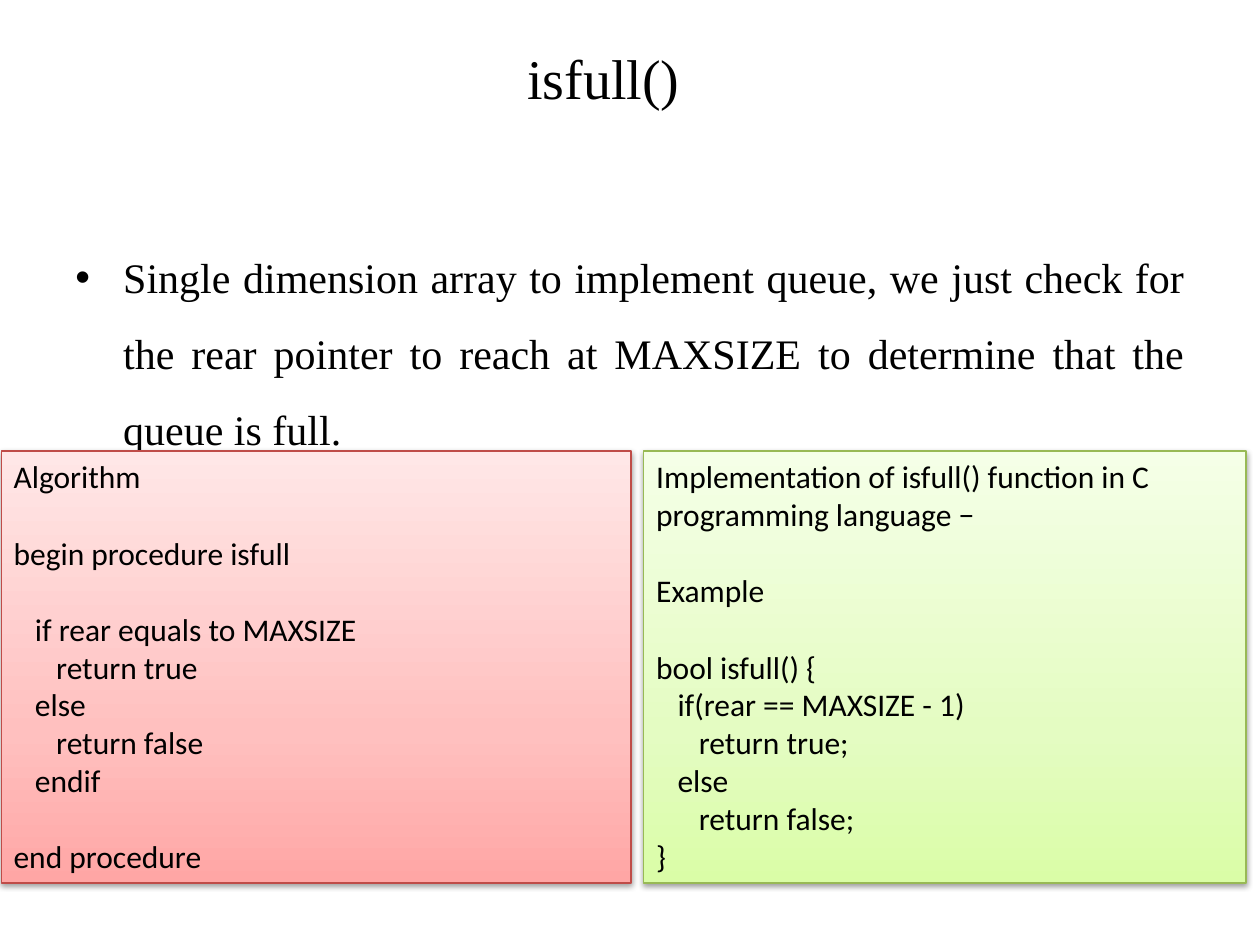
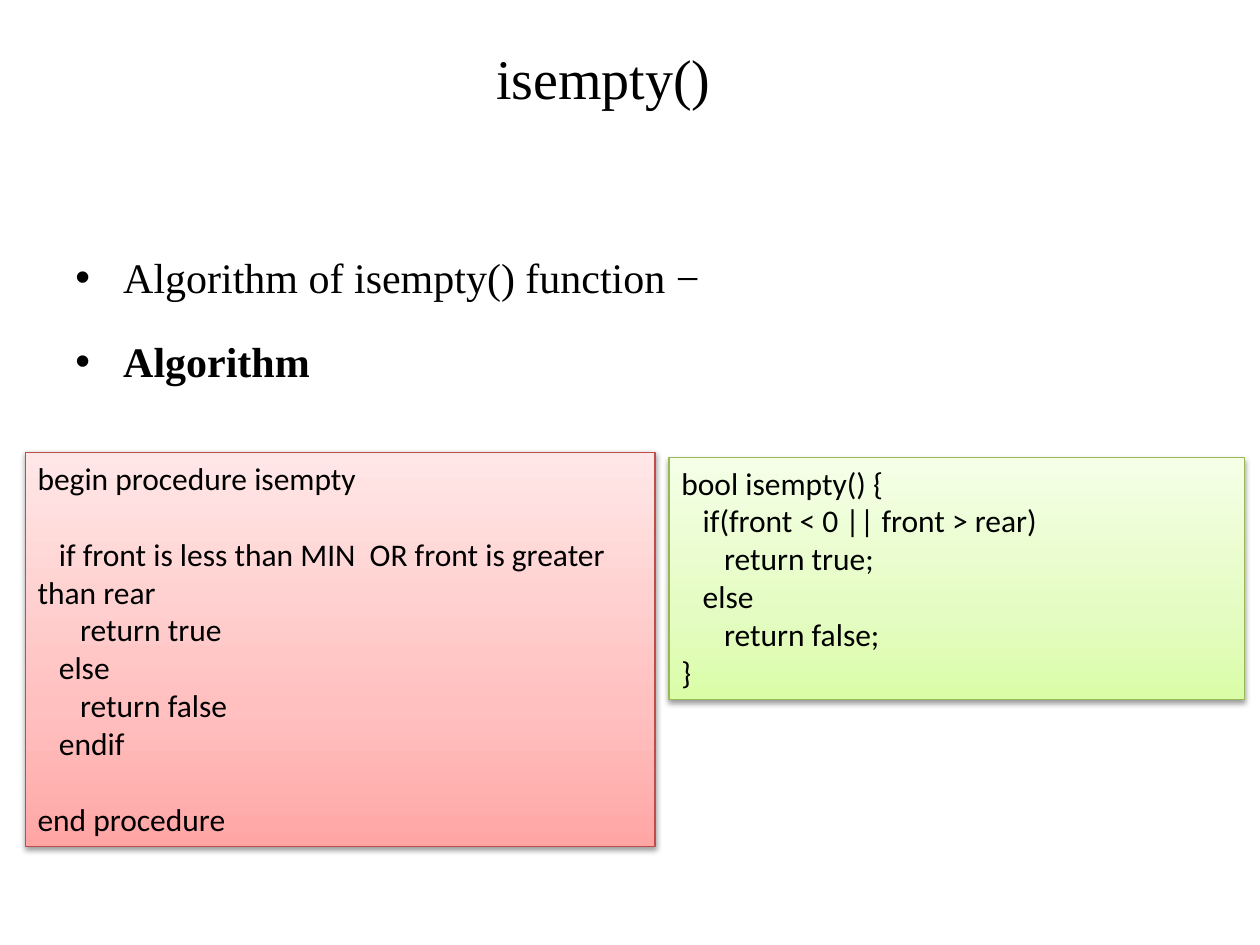
from copy import deepcopy
from dataclasses import dataclass

from lxml.etree import SubElement
from pptx import Presentation
from pptx.dml.color import RGBColor
from pptx.enum.shapes import MSO_SHAPE
from pptx.enum.text import MSO_ANCHOR, MSO_AUTO_SIZE, PP_ALIGN
from pptx.oxml.ns import qn
from pptx.util import Inches, Pt

# Shared style
COLORS = {
    "text": "000000", "shadow": "000000",
    "red_low": "FFA6A5", "red_mid": "FFC0BF", "red_high": "FFE7E7", "red_line": "BF4C48",
    "green_low": "DAFDA7", "green_mid": "E4FCC2", "green_high": "F5FFE7", "green_line": "98B955",
}
GRADIENT_STOPS = {"low": 0, "mid": 0.35, "high": 1}
SERIF, SANS = "Times New Roman", "Calibri"
CODE_LINE = Pt(22)
TITLE_ONLY = 5


@dataclass
class Bullet:
    text: str
    bold: bool = False


@dataclass
class CodePanel:
    left: float
    top: float
    width: float
    height: float
    tint: str
    code: str  # an empty line separates groups


@dataclass
class Page:
    title: str
    bullets: list[Bullet]
    panels: list[CodePanel]


# Content
PAGES = [
    Page(
        "isfull()",
        [Bullet("Single dimension array to implement queue, we just check for the rear "
                "pointer to reach at MAXSIZE to determine that the queue is full.")],
        [
            CodePanel(0.01, 3.58, 5, 3.43, "red", """Algorithm

begin procedure isfull

   if rear equals to MAXSIZE
      return true
   else
      return false
   endif

end procedure"""),
            CodePanel(5.11, 3.58, 4.78, 3.43, "green",
                      """Implementation of isfull() function in C programming language −

Example

bool isfull() {
   if(rear == MAXSIZE - 1)
      return true;
   else
      return false;
}"""),
        ],
    ),
    Page(
        "isempty()",
        [Bullet("Algorithm of isempty() function −"), Bullet("Algorithm", bold=True)],
        [
            CodePanel(0.2, 3.59, 5, 3.13, "red", """begin procedure isempty

   if front is less than MIN  OR front is greater than rear
      return true
   else
      return false
   endif

end procedure"""),
            CodePanel(5.31, 3.63, 4.57, 1.92, "green", """bool isempty() {
   if(front < 0 || front > rear)
      return true;
   else
      return false;
}"""),
        ],
    ),
]


def color(name: str) -> RGBColor:
    return RGBColor.from_string(COLORS[name])


def add_span(para, text: str, font: str, size: int, bold: bool = False) -> None:
    span = para.add_run()
    span.text = text
    span.font.name = font
    span.font.size = Pt(size)
    span.font.bold = bold
    span.font.color.rgb = color("text")


def next_para(frame, index: int):
    return frame.add_paragraph() if index else frame.paragraphs[0]


def place_title(slide, text: str) -> None:
    title = slide.shapes.title
    title.left, title.top = Inches(1.15), Inches(0.21)
    title.width, title.height = Inches(7.28), Inches(1.25)
    frame = title.text_frame
    frame.vertical_anchor = MSO_ANCHOR.MIDDLE
    frame.margin_bottom = Inches(0.5)  # lifts the title above the middle
    para = frame.paragraphs[0]
    para.alignment = PP_ALIGN.CENTER
    add_span(para, text, SERIF, 32)


def add_bullets(slide, bullets: list[Bullet]) -> None:
    box = slide.shapes.add_textbox(Inches(0.5), Inches(1.75), Inches(9), Inches(4.95))
    frame = box.text_frame
    frame.word_wrap = True
    for index, bullet in enumerate(bullets):
        para = next_para(frame, index)
        properties = para._p.get_or_add_pPr()
        properties.set("marL", str(Inches(0.38)))
        properties.set("indent", str(Inches(-0.38)))
        SubElement(properties, qn("a:buFont"), typeface="Arial")
        SubElement(properties, qn("a:buChar"), char="•")
        para.alignment = PP_ALIGN.JUSTIFY
        para.line_spacing = 1.5
        if index:
            para.space_before = Pt(4.8)
        add_span(para, bullet.text, SERIF, 24, bullet.bold)


def style_panel(box, tint: str) -> None:
    # Gradient running from the dark bottom to the light top
    box.fill.gradient()
    box.fill.gradient_angle = 90
    properties = box._element.spPr
    stop_list = properties.find(".//" + qn("a:gsLst"))
    stop_list.insert(1, deepcopy(stop_list[0]))
    for stop, (shade, position) in zip(box.fill.gradient_stops, GRADIENT_STOPS.items()):
        stop.position = position
        stop.color.rgb = color(f"{tint}_{shade}")
    box.line.color.rgb = color(f"{tint}_line")
    box.line.width = Pt(0.75)

    # Soft shadow below
    box.shadow.inherit = False
    shadow = SubElement(properties.find(qn("a:effectLst")), qn("a:outerShdw"),
                        blurRad=str(Pt(3.1)), dist=str(Pt(1.6)), dir="5400000", rotWithShape="0")
    shade = SubElement(shadow, qn("a:srgbClr"), val=COLORS["shadow"])
    SubElement(shade, qn("a:alpha"), val="38000")


def add_panel(slide, panel: CodePanel) -> None:
    box = slide.shapes.add_shape(MSO_SHAPE.RECTANGLE, Inches(panel.left), Inches(panel.top),
                                 Inches(panel.width), Inches(panel.height))
    style_panel(box, panel.tint)
    frame = box.text_frame
    frame.word_wrap = True
    frame.auto_size = MSO_AUTO_SIZE.NONE
    frame.vertical_anchor = MSO_ANCHOR.TOP
    count = 0
    for group in panel.code.split("\n\n"):
        for position, line in enumerate(group.split("\n")):
            para = next_para(frame, count)
            para.alignment = PP_ALIGN.LEFT
            if count and position == 0:
                para.space_before = CODE_LINE
            add_span(para, line, SANS, 18)
            count += 1


def main() -> None:
    deck = Presentation()
    deck.slide_width, deck.slide_height = Inches(10), Inches(7.5)
    for page in PAGES:
        slide = deck.slides.add_slide(deck.slide_layouts[TITLE_ONLY])
        place_title(slide, page.title)
        add_bullets(slide, page.bullets)
        for panel in page.panels:
            add_panel(slide, panel)
    deck.save("out.pptx")


if __name__ == "__main__":
    main()
